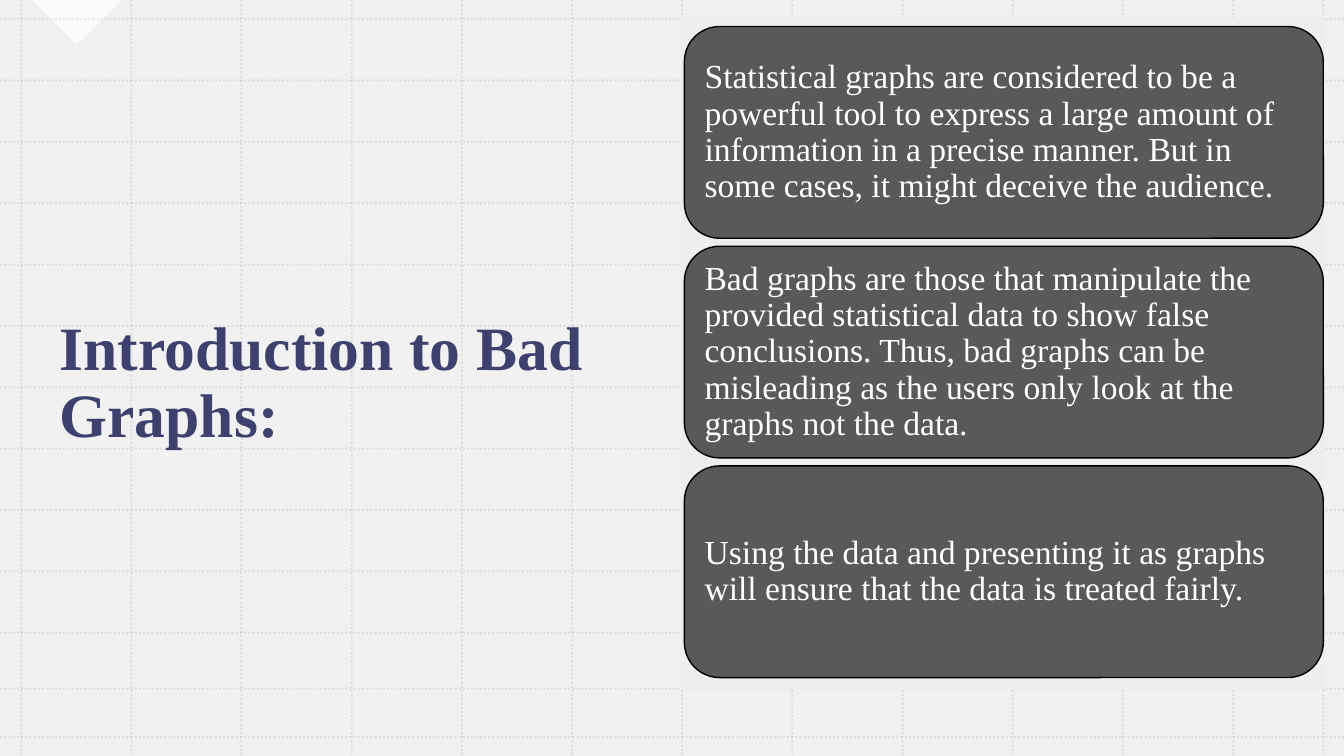
from lxml import etree
from pptx import Presentation
from pptx.dml.color import RGBColor
from pptx.enum.dml import MSO_LINE
from pptx.enum.shapes import MSO_CONNECTOR, MSO_SHAPE
from pptx.enum.text import MSO_ANCHOR, PP_ALIGN
from pptx.oxml.ns import qn
from pptx.util import Inches, Pt

STRAIGHT = MSO_CONNECTOR.STRAIGHT
RECT, ROUNDED, CORNER = MSO_SHAPE.RECTANGLE, MSO_SHAPE.ROUNDED_RECTANGLE, MSO_SHAPE.RIGHT_TRIANGLE
DOTTED = MSO_LINE.ROUND_DOT
MIDDLE, LEFT = MSO_ANCHOR.MIDDLE, PP_ALIGN.LEFT

WHITE = RGBColor(0xFF, 0xFF, 0xFF)
BLACK = RGBColor(0x00, 0x00, 0x00)
PAPER = RGBColor(0xF1, 0xF1, 0xF1)
PANEL = RGBColor(0xEE, 0xEE, 0xEE)
CARD = RGBColor(0x59, 0x59, 0x59)
GRID = RGBColor(0x95, 0x95, 0x95)
NAVY = RGBColor(0x12, 0x15, 0x4E)

FONT = "Times New Roman"
W, H = Inches(13.33), Inches(7.5)
COL, ROW = W / 12.2, H / 12.32
LEFT_EDGE, TOP_EDGE = Inches(0.21), Inches(0.19)
GRID_COLS = [*range(12), 11.82]
GRID_ROWS = [*range(11), 10.91, 11.7]
CARD_HEIGHT, CARD_PITCH = 3.45, 3.58

TITLE = "Introduction to Bad Graphs:"
CARDS = [
    "Statistical graphs are considered to be a powerful tool to express a large amount of "
    "information in a precise manner. But in some cases, it might deceive the audience.",
    "Bad graphs are those that manipulate the provided statistical data to show false "
    "conclusions. Thus, bad graphs can be misleading as the users only look at the "
    "graphs not the data.",
    "Using the data and presenting it as graphs will ensure that the data is treated fairly.",
]


def x_at(col):
    """Return the horizontal position of a grid column."""
    return int(LEFT_EDGE + col * COL)


def y_at(row):
    """Return the vertical position of a grid row."""
    return int(TOP_EDGE + row * ROW)


def place(col, row, cols, rows):
    """Return left, top, width and height of a block of grid cells."""
    return x_at(col), y_at(row), int(cols * COL), int(rows * ROW)


def set_alpha(fill_owner, percent):
    """Make the solid colour inside an element partly transparent."""
    color = next(fill_owner.iter(qn("a:srgbClr")))
    etree.SubElement(color, qn("a:alpha")).set("val", str(percent * 1000))


def add_grid_line(s, x1, y1, x2, y2):
    """Draw one faint dotted line."""
    line = s.shapes.add_connector(STRAIGHT, x1, y1, x2, y2)
    line.line.color.rgb = GRID
    line.line.width = Pt(1.5)
    line.line.dash_style = DOTTED
    set_alpha(line._element.spPr, 20)
    etree.SubElement(line._element.spPr, qn("a:effectLst"))


def add_block(s, kind, box, color, outline=None):
    """Draw a flat shape with an optional thin outline."""
    sp = s.shapes.add_shape(kind, *box)
    sp.shadow.inherit = False
    sp.fill.solid()
    sp.fill.fore_color.rgb = color
    if outline is None:
        sp.line.fill.background()
    else:
        sp.line.color.rgb = outline
        sp.line.width = Pt(1)
    return sp


def write(sp, text, size, color, bold=False):
    """Put one left-aligned, vertically centred paragraph in a shape."""
    tf = sp.text_frame
    tf.word_wrap = True
    tf.vertical_anchor = MIDDLE
    tf.margin_left = tf.margin_right = tf.margin_top = tf.margin_bottom = Inches(0.1)
    p = tf.paragraphs[0]
    p.alignment = LEFT
    p.line_spacing = 0.9
    r = p.add_run()
    r.text = text
    r.font.name, r.font.size, r.font.bold = FONT, Pt(size), bold
    r.font.color.rgb = color
    return r


def main():
    """Build the slide and save it."""
    prs = Presentation()
    prs.slide_width, prs.slide_height = W, H
    s = prs.slides.add_slide(prs.slide_layouts[6])
    s.background.fill.solid()
    s.background.fill.fore_color.rgb = PAPER

    corner = add_block(s, CORNER, place(0.22, -0.82, 0.57, 1.02), WHITE)
    corner.rotation = 315
    set_alpha(corner._element.spPr, 75)
    for col in GRID_COLS:
        add_grid_line(s, x_at(col), 0, x_at(col), H)
    for row in GRID_ROWS:
        add_grid_line(s, 0, y_at(row), W, y_at(row))

    title = s.shapes.add_textbox(*place(0.26, 0.98, 5.56, 9.93))
    set_alpha(write(title, TITLE, 44, NAVY, bold=True)._r, 80)

    add_block(s, RECT, place(5.99, -0.02, 5.84, 10.94), PANEL)
    for i, text in enumerate(CARDS):
        box = place(6.02, 0.12 + i * CARD_PITCH, 5.8, CARD_HEIGHT)
        write(add_block(s, ROUNDED, box, CARD, BLACK), text, 24, WHITE)

    prs.save("out.pptx")


if __name__ == "__main__":
    main()
